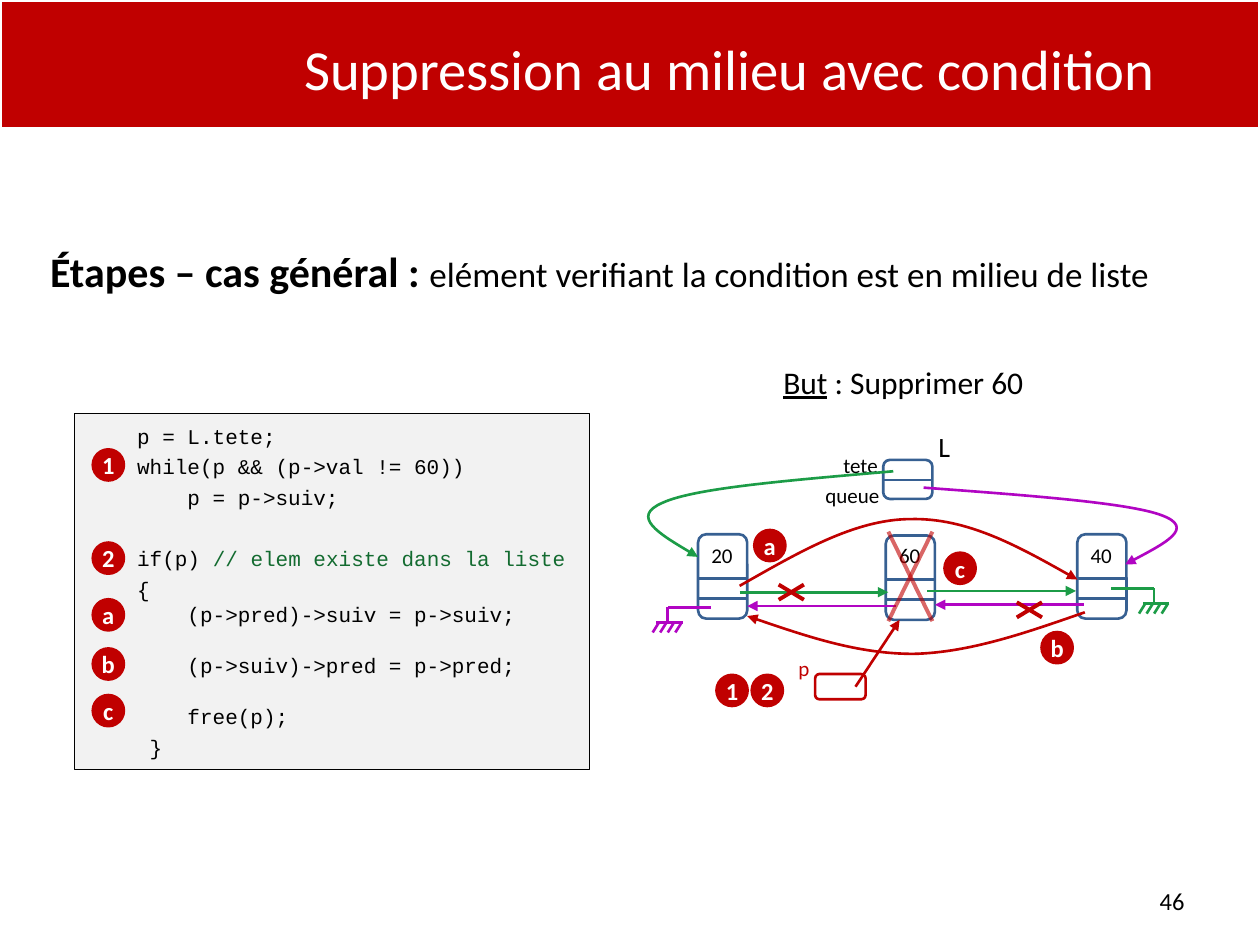
from lxml import etree
from pptx import Presentation
from pptx.dml.color import RGBColor
from pptx.enum.shapes import MSO_CONNECTOR, MSO_SHAPE as Shape
from pptx.enum.text import MSO_ANCHOR as Anchor, PP_ALIGN as Align
from pptx.oxml.ns import qn
from pptx.util import Inches, Pt

COLUMNS, ROWS = 100, 75
RED, GREEN, PURPLE, BLUE = "C00000", "1C9C47", "B105C3", "376092"
BLACK, WHITE, GREY, COMMENT = "000000", "FFFFFF", "F2F2F2", "136B30"


def rgb(value):
    return RGBColor.from_string(value)


class ListDiagram:
    """Style and current slide; lengths are columns and rows of a 100 x 75 grid."""
    font, mono = "Calibri", "Courier New"

    def __init__(self, deck):
        self.slide = deck.slides.add_slide(deck.slide_layouts[6])
        self.shapes = self.slide.shapes
        self.cell = deck.slide_width // COLUMNS

    def grid(self, *lengths):
        return [round(length * self.cell) for length in lengths]

    def stroke(self, item, color, width, arrow=False, alpha=None):
        item.line.color.rgb = rgb(color)
        item.line.width = Pt(width)
        ln = item.line._ln
        if alpha:
            srgb = ln.find(".//" + qn("a:srgbClr"))
            etree.SubElement(srgb, qn("a:alpha"), val=str(alpha * 1000))
        if arrow:
            etree.SubElement(ln, qn("a:tailEnd"), type="triangle")

    def run(self, paragraph, content, size, color=BLACK, font=font,
            bold=False, underline=False):
        piece = paragraph.add_run()
        piece.text = content
        style = piece.font
        style.name, style.size, style.color.rgb = font, Pt(size), rgb(color)
        style.bold, style.underline = bold, underline

    def frame(self, shape, align, anchor=Anchor.TOP, inset=0):
        """Prepare a shape for text and return its first paragraph."""
        text = shape.text_frame
        text.word_wrap = True
        text.vertical_anchor = anchor
        text.margin_left = text.margin_right = Inches(inset)
        text.paragraphs[0].alignment = align
        return text.paragraphs[0]

    def text(self, box, align=Align.CENTER, anchor=Anchor.TOP, inset=0):
        return self.frame(self.shapes.add_textbox(*self.grid(*box)), align, anchor, inset)

    def label(self, box, content, size=12, color=BLACK, **options):
        self.run(self.text(box, **options), content, size, color)

    def shape(self, kind, box, line, width=1.5, fill=None):
        item = self.shapes.add_shape(kind, *self.grid(*box))
        item.shadow.inherit = False
        if fill:
            item.fill.solid()
            item.fill.fore_color.rgb = rgb(fill)
        else:
            item.fill.background()
        self.stroke(item, line, width)
        return item

    def line(self, x1, y1, x2, y2, color=BLUE, width=1.5, **options):
        item = self.shapes.add_connector(MSO_CONNECTOR.STRAIGHT, *self.grid(x1, y1, x2, y2))
        self.stroke(item, color, width, **options)
        etree.SubElement(item._element.spPr, qn("a:effectLst"))

    def curve(self, color, start, *bends):
        """Arrow through Bezier bends, each given as two controls and an end."""
        builder = self.shapes.build_freeform(*self.grid(*start))
        builder.add_line_segments([self.grid(*bend[-1]) for bend in bends], close=False)
        item = builder.convert_to_shape()
        item.shadow.inherit = False
        item.fill.background()
        self.stroke(item, color, 1.5, arrow=True)
        segments = list(item._element.iter(qn("a:lnTo")))
        for segment, bend in zip(segments, bends):
            bezier = etree.Element(qn("a:cubicBezTo"))
            for point in bend:
                x, y = self.grid(*point)
                etree.SubElement(bezier, qn("a:pt"), x=str(x - item.left), y=str(y - item.top))
            segment.getparent().replace(segment, bezier)

    def badge(self, x, y, mark):
        circle = self.shape(Shape.OVAL, (x, y, 2.4, 2.4), RED, 2, RED)
        paragraph = self.frame(circle, Align.CENTER, Anchor.MIDDLE)
        circle.text_frame.margin_top = circle.text_frame.margin_bottom = 0
        self.run(paragraph, mark, 14, WHITE, bold=True)

    def node(self, x, y, value):
        self.shape(Shape.ROUNDED_RECTANGLE, (x, y, 3.9, 6.7), BLUE)
        for divider in (y + 3.5, y + 5.1):
            self.line(x, divider, x + 3.9, divider)
        self.label((x, 42.6, 3.8, 3), value)

    def ground(self, start, stem, y, color):
        """Null pointer: a bent wire ending in a hatched bar."""
        bar = y + 1.2
        self.line(start, y, stem, y, color)
        self.line(stem, y, stem, bar, color)
        self.line(stem - 0.9, bar, stem + 1.2, bar, color)
        for tooth in range(4):
            x = stem - 0.7 + 0.6 * tooth
            self.line(x, bar, x - 0.5, bar + 0.8, color)

    def cross(self, x, y, width, height, alpha=None):
        for top, bottom in ((y, y + height), (y + height, y)):
            self.line(x, top, x + width, bottom, RED, 2.25, alpha=alpha)

    def code(self, box, lines):
        """Each line is its space before in points, then (content, color) runs."""
        panel = self.shape(Shape.RECTANGLE, box, BLACK, 0.75, GREY)
        paragraph = self.frame(panel, Align.LEFT, Anchor.MIDDLE, 0.1)
        for index, (before, *runs) in enumerate(lines):
            if index:
                paragraph = panel.text_frame.add_paragraph()
                paragraph.alignment = Align.LEFT
                paragraph.space_before = Pt(before)
            for content, color in runs:
                self.run(paragraph, content, 12, color, self.mono)


def draw_header(page):
    page.shape(Shape.RECTANGLE, (0, 0, 100, 10.2), WHITE, 2, RED)
    page.label((21.7, 1.9, 72.4, 6.9), "Suppression au milieu avec condition", 32.4, WHITE,
               anchor=Anchor.MIDDLE)
    steps = page.text((2.8, 19, 93.7, 5), Align.JUSTIFY, inset=0.1)
    properties = steps._p.get_or_add_pPr()
    properties.set("marL", str(Inches(0.4)))
    properties.set("indent", str(Inches(-0.38)))
    page.run(steps, "Étapes – cas général : ", 24, bold=True)
    page.run(steps, "elément verifiant la condition est en milieu de liste", 20)
    goal = page.text((58.7, 28.3, 26, 4))
    page.run(goal, "But", 18, underline=True)
    page.run(goal, " : Supprimer 60", 18)
    page.label((71.7, 69.5, 23.3, 4), "46", 14, align=Align.RIGHT, anchor=Anchor.MIDDLE,
               inset=0.1)


def draw_code(page):
    page.code((5.9, 32.8, 40.9, 28.3), [
        (0, ("    p = L.tete;", BLACK)),
        (3.3, ("    while(p && (p->val != 60))", BLACK)),
        (3.3, ("        p = p->suiv;", BLACK)),
        (20.2, ("    if(p) ", BLACK), ("// elem existe dans la liste", COMMENT)),
        (3.3, ("    {", BLACK)),
        (0, ("        (p->pred)->suiv = p->suiv;", BLACK)),
        (14.8, ("        (p->suiv)->pred = p->pred;", BLACK)),
        (14.8, ("        free(p);", BLACK)),
        (3.3, ("     }", BLACK)),
    ])
    for mark, y in zip("12abc", (35.7, 43.1, 47.6, 51.5, 55.2)):
        page.badge(7.4, y, mark)


def draw_list(page):
    for x, y, value in ((70.3, 42.5, "60"), (55.4, 42.4, "20"), (85.5, 42.4, "40")):
        page.node(x, y, value)
    for x1, x2, y, color in ((73.6, 85.4, 46.9, GREEN), (71.1, 59.3, 48.1, PURPLE),
                             (58.7, 70.5, 47, GREEN), (86, 74.2, 48, PURPLE)):
        page.line(x1, y, x2, y, color, arrow=True)
    page.ground(56.4, 53, 48.2, PURPLE)
    page.ground(88.2, 91.6, 46.7, GREEN)

    page.shape(Shape.ROUNDED_RECTANGLE, (70.1, 36.5, 3.9, 3.1), BLUE)
    page.line(70.1, 38.1, 74, 38.1)
    page.label((63.3, 35.4, 10, 2.4), "tete")
    page.label((63.4, 37.8, 8.5, 2.4), "queue")
    page.label((73.1, 33.6, 3.7, 2.9), "L", 16)
    page.curve(GREEN, (70.9, 37.4), ((63, 38.1), (55.2, 38.7), (52.6, 39.9)),
               ((50, 41), (52.7, 42.6), (55.4, 44.2)))
    page.curve(PURPLE, (73.3, 38.7), ((81.4, 39.3), (89.6, 39.9), (92.2, 40.9)),
               ((94.9, 41.9), (92.1, 43.3), (89.3, 44.8)))

    page.shape(Shape.ROUNDED_RECTANGLE, (64.7, 53.5, 4, 2), RED)
    page.line(67.9, 54.5, 71.4, 49.2, RED, arrow=True)
    page.label((61, 51.5, 5.6, 3), "p", color=RED)
    for mark, x, y in (("b", 82.7, 50.2), ("a", 59.9, 42.1), ("c", 75, 43.9),
                       ("1", 56.9, 53.6), ("2", 59.7, 53.6)):
        page.badge(x, y, mark)

    page.cross(61.8, 46.4, 2, 1.2)
    page.cross(80.7, 47.8, 2, 1.2)
    page.cross(70.5, 42.2, 3.5, 7.1, alpha=60)
    page.curve(RED, (58.7, 46.5), ((63.3, 43.9), (67.8, 41.2), (72.3, 41.2)),
               ((76.7, 41.1), (81.1, 43.5), (85.5, 46)))
    page.curve(RED, (86.1, 48.6), ((81.5, 50.2), (77, 51.8), (72.5, 51.9)),
               ((68.1, 51.9), (63.7, 50.4), (59.3, 48.9)))


def main():
    deck = Presentation()
    deck.slide_width, deck.slide_height = Inches(COLUMNS / 10), Inches(ROWS / 10)
    page = ListDiagram(deck)
    draw_header(page)
    draw_code(page)
    draw_list(page)
    deck.save("out.pptx")


if __name__ == "__main__":
    main()
